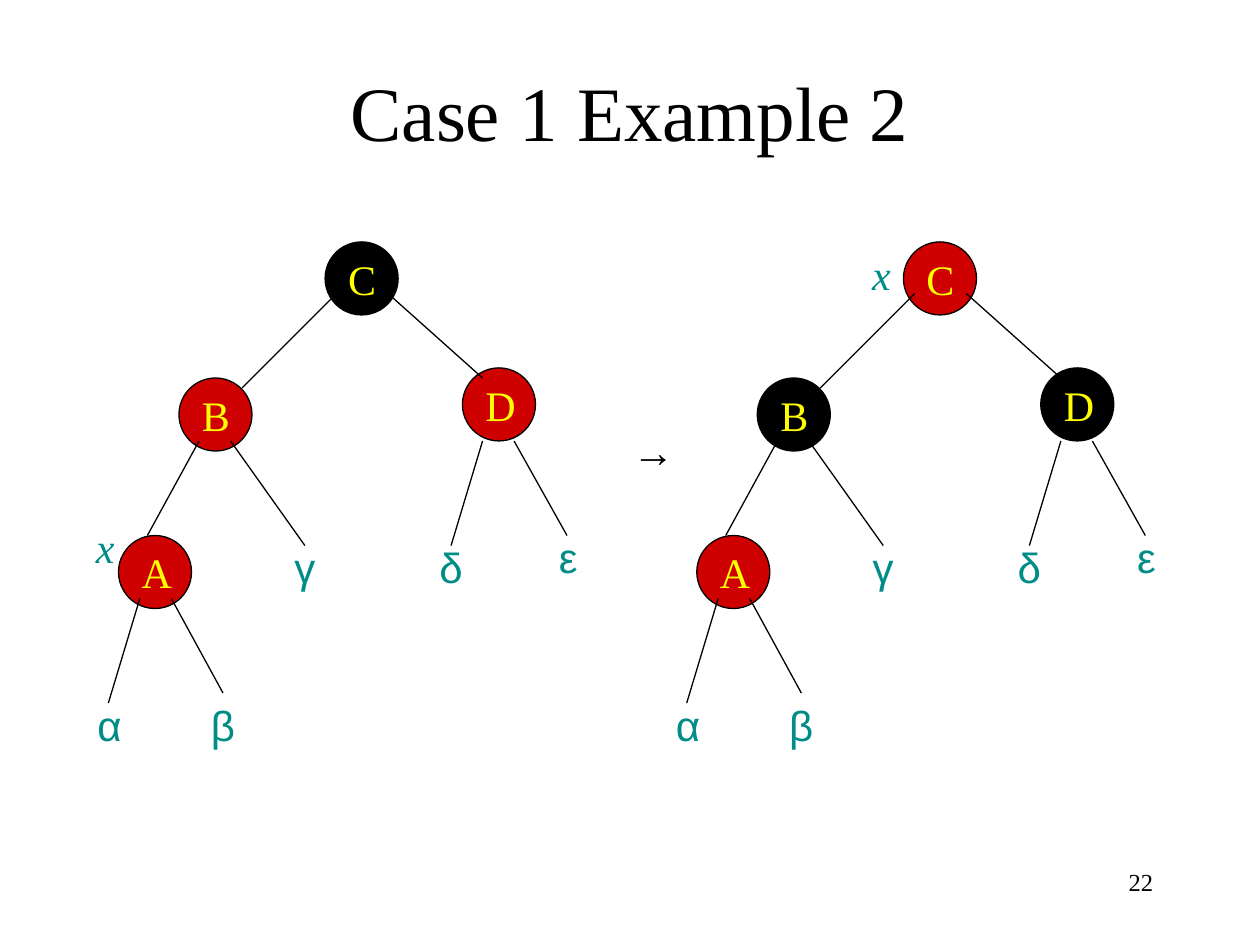
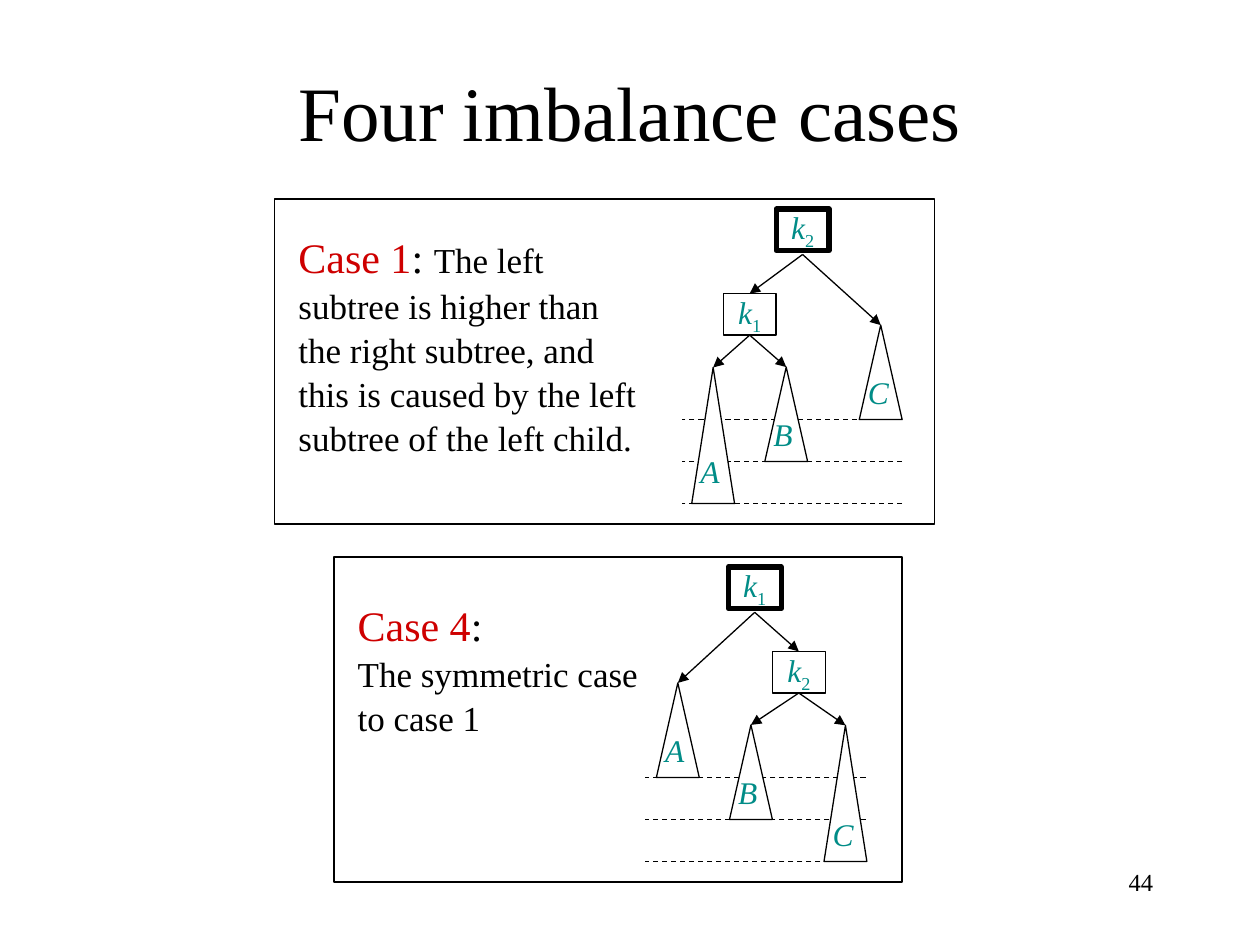
from lxml import etree
from pptx import Presentation
from pptx.dml import color as dml_color
from pptx.enum import dml, shapes, text
from pptx.oxml import ns
from pptx.util import Inches, Pt

COLORS = {"ink": "000000", "red": "CE0000", "teal": "008C87", "yellow": "FFFF00", "paper": "FFFFFF"}
SERIF, SANS = "Times New Roman", "Arial"
CENTER, LEFT, RIGHT = text.PP_ALIGN.CENTER, text.PP_ALIGN.LEFT, text.PP_ALIGN.RIGHT

# Red-black tree: places are those of the left tree
TREE_TITLE, TREE_NUMBER = "Case 1 Example 2", "22"
NODE_SIZE = 0.58
NODES = {"B": (1.42, 3), "C": (2.58, 1.92), "D": (3.67, 2.92), "A": (0.94, 4.25)}
EDGES = [
    (2.67, 2.33, 1.92, 3.08), (3.08, 2.33, 3.83, 3),
    (1.58, 3.5, 1.17, 4.25), (1.83, 3.5, 2.42, 4.33),
    (4.08, 3.5, 4.5, 4.25), (3.83, 3.5, 3.58, 4.33),
    (1.36, 4.75, 1.77, 5.5), (1.11, 4.75, 0.86, 5.58),
]
SUBTREES = [  # label, centre x, top
    ("α", 0.87, 5.5), ("β", 1.77, 5.5), ("γ", 2.42, 4.25), ("δ", 3.58, 4.25), ("ε", 4.51, 4.17),
]
TREES = [  # shift to the right, black nodes, place of x
    (0, "C", (0.83, 4.09)),
    (4.59, "BD", (6.99, 1.92)),
]

# Imbalance cases: each triangle has label, parent, apex x, height, level, label lift
CASES_TITLE, CASES_NUMBER = "Four imbalance cases", "44"
CASES = [
    {
        "panel": (2.18, 1.58, 5.24), "text_box": (2.27, 1.77, 2.89, 1.84),
        "heading": "Case 1", "separator": ": ", "break": False,
        "body": "The left subtree is higher than the right subtree, "
                "and this is caused by the left subtree of the left child.",
        "root": ("2", 6.37), "child": ("1", 5.95), "levels_left": 5.41,
        "triangles": [("B", "child", 6.24, 0.75, 1, 0.42), ("C", "root", 6.99, 0.75, 0, 0.42),
                      ("A", "child", 5.66, 1.08, 2, 0.46)],
    },
    {
        "panel": (2.65, 4.42, 4.51), "text_box": (2.74, 4.69, 2.62, 1.17),
        "heading": "Case 4", "separator": ":", "break": True,
        "body": "The symmetric case to case 1",
        "root": ("1", 5.99), "child": ("2", 6.34), "levels_left": 5.12,
        "triangles": [("B", "child", 5.96, 0.75, 1, 0.42), ("A", "root", 5.38, 0.75, 0, 0.42),
                      ("C", "child", 6.71, 1.08, 2, 0.42)],
    },
]
PANEL_HEIGHT = 2.58
KEY_WIDTH, KEY_HEIGHT = 0.42, 0.33
ROOT_DROP, CHILD_DROP = 0.08, 0.75
LEVEL_DROP, LEVEL_GAP, LEVEL_WIDTH = 1.75, 1 / 3, 1.75


def rgb(name):
    return dml_color.RGBColor.from_string(COLORS[name])


def style_font(font, size, color, name=SERIF, italic=False):
    font.size, font.name, font.italic = Pt(size), name, italic
    font.color.rgb = rgb(color)


def style_shape(shape, fill=None, weight=0.75):
    shape.shadow.inherit = False
    if fill:
        shape.fill.solid()
        shape.fill.fore_color.rgb = rgb(fill)
    else:
        shape.fill.background()
    shape.line.color.rgb = rgb("ink")
    shape.line.width = Pt(weight)


def add_label(slide, words, box, size, color, align=CENTER, wrap=False, middle=False, **font):
    shape = slide.shapes.add_textbox(*map(Inches, box))
    frame = shape.text_frame
    frame.text = words
    frame.word_wrap = wrap
    if middle:
        frame.vertical_anchor = text.MSO_ANCHOR.MIDDLE
    paragraph = frame.paragraphs[0]
    paragraph.alignment = align
    style_font(paragraph.runs[0].font, size, color, **font)


def add_preset(slide, kind, box, fill=None, weight=0.75):
    shape = slide.shapes.add_shape(kind, *map(Inches, box))
    style_shape(shape, fill, weight)
    frame = shape.text_frame
    frame.word_wrap = False
    frame.vertical_anchor = text.MSO_ANCHOR.MIDDLE
    frame.paragraphs[0].alignment = CENTER
    return shape


def add_line(slide, ends, arrow=False, dashed=False):
    line = slide.shapes.add_connector(shapes.MSO_CONNECTOR.STRAIGHT, *map(Inches, ends))
    line.line.color.rgb = rgb("ink")
    line.line.width = Pt(0.75)
    if dashed:
        line.line.dash_style = dml.MSO_LINE.DASH
    if arrow:
        etree.SubElement(line.line._get_or_add_ln(), ns.qn("a:tailEnd"), type="triangle")
    etree.SubElement(line._element.spPr, ns.qn("a:effectLst"))


def add_slide(presentation, title, number):
    slide = presentation.slides.add_slide(presentation.slide_layouts[6])
    add_label(slide, title, (0.75, 0.25, 8.5, 1.25), 44, "ink", wrap=True, middle=True)
    add_label(slide, number, (7.17, 6.83, 2.08, 0.5), 14, "ink", RIGHT, wrap=True)
    return slide


def add_tree(slide, shift, black_nodes, x_place):
    for name, (left, top) in NODES.items():
        fill = "ink" if name in black_nodes else "red"
        node = add_preset(slide, shapes.MSO_SHAPE.OVAL, (left + shift, top, NODE_SIZE, NODE_SIZE), fill)
        node.text_frame.text = name
        style_font(node.text_frame.paragraphs[0].runs[0].font, 24, "yellow")
    for x1, y1, x2, y2 in EDGES:
        add_line(slide, (x1 + shift, y1, x2 + shift, y2))
    for label, center, top in SUBTREES:
        add_label(slide, label, (center + shift - 0.2, top, 0.4, 0.5), 24, "teal", name=SANS)
    center, top = x_place
    add_label(slide, "x", (center - 0.17, top, 0.35, 0.5), 24, "teal", italic=True)


def add_key(slide, index, center, top, weight):
    box = (center - KEY_WIDTH / 2, top, KEY_WIDTH, KEY_HEIGHT)
    key = add_preset(slide, shapes.MSO_SHAPE.RECTANGLE, box, weight=weight)
    paragraph = key.text_frame.paragraphs[0]
    for words, italic in (("k", True), (index, False)):
        run = paragraph.add_run()
        run.text = words
        style_font(run.font, 18, "teal", italic=italic)
    run._r.get_or_add_rPr().set("baseline", "-25000")


def add_triangle(slide, center, top, base):
    half = 0.17
    builder = slide.shapes.build_freeform(Inches(center - half), Inches(base))
    builder.add_line_segments([(Inches(center + half), Inches(base)), (Inches(center), Inches(top))])
    style_shape(builder.convert_to_shape(), "paper")


def add_case_text(slide, case):
    shape = slide.shapes.add_textbox(*map(Inches, case["text_box"]))
    shape.text_frame.word_wrap = True
    paragraph = shape.text_frame.paragraphs[0]
    paragraph.line_spacing = 1.05
    for part, size, color in (("heading", 24, "red"), ("separator", 24, "ink"), ("body", 20, "ink")):
        if part == "body" and case["break"]:
            paragraph.add_line_break()
        run = paragraph.add_run()
        run.text = case[part]
        style_font(run.font, size, color)


def add_case(slide, case):
    left, top, width = case["panel"]
    add_preset(slide, shapes.MSO_SHAPE.RECTANGLE, (left, top, width, PANEL_HEIGHT))
    add_case_text(slide, case)

    # Keys and dashed depth levels
    (root_index, root_x), (child_index, child_x) = case["root"], case["child"]
    add_key(slide, root_index, root_x, top + ROOT_DROP, 3)
    add_key(slide, child_index, child_x, top + CHILD_DROP, 0.75)
    levels = [top + LEVEL_DROP + step * LEVEL_GAP for step in range(3)]
    for level in levels:
        add_line(slide, (case["levels_left"] + LEVEL_WIDTH, level, case["levels_left"], level), dashed=True)

    # Subtrees with the arrows that lead to them
    starts = {"root": (root_x, top + 0.44), "child": (child_x, top + CHILD_DROP + KEY_HEIGHT)}
    add_line(slide, (*starts["root"], child_x, top + CHILD_DROP), arrow=True)
    for label, parent, center, height, level, lift in case["triangles"]:
        base = levels[level]
        add_triangle(slide, center, base - height, base)
        add_label(slide, label, (center - 0.2, base - lift, 0.35, 0.4), 18, "teal", LEFT, italic=True)
        add_line(slide, (*starts[parent], center, base - height), arrow=True)


def main():
    presentation = Presentation()
    presentation.slide_width, presentation.slide_height = Inches(10), Inches(7.5)

    slide = add_slide(presentation, TREE_TITLE, TREE_NUMBER)
    for tree in TREES:
        add_tree(slide, *tree)
    add_label(slide, "→", (4.92, 3.33, 0.47, 0.5), 24, "ink", name=SANS)

    slide = add_slide(presentation, CASES_TITLE, CASES_NUMBER)
    for case in CASES:
        add_case(slide, case)

    presentation.save("out.pptx")


if __name__ == "__main__":
    main()
